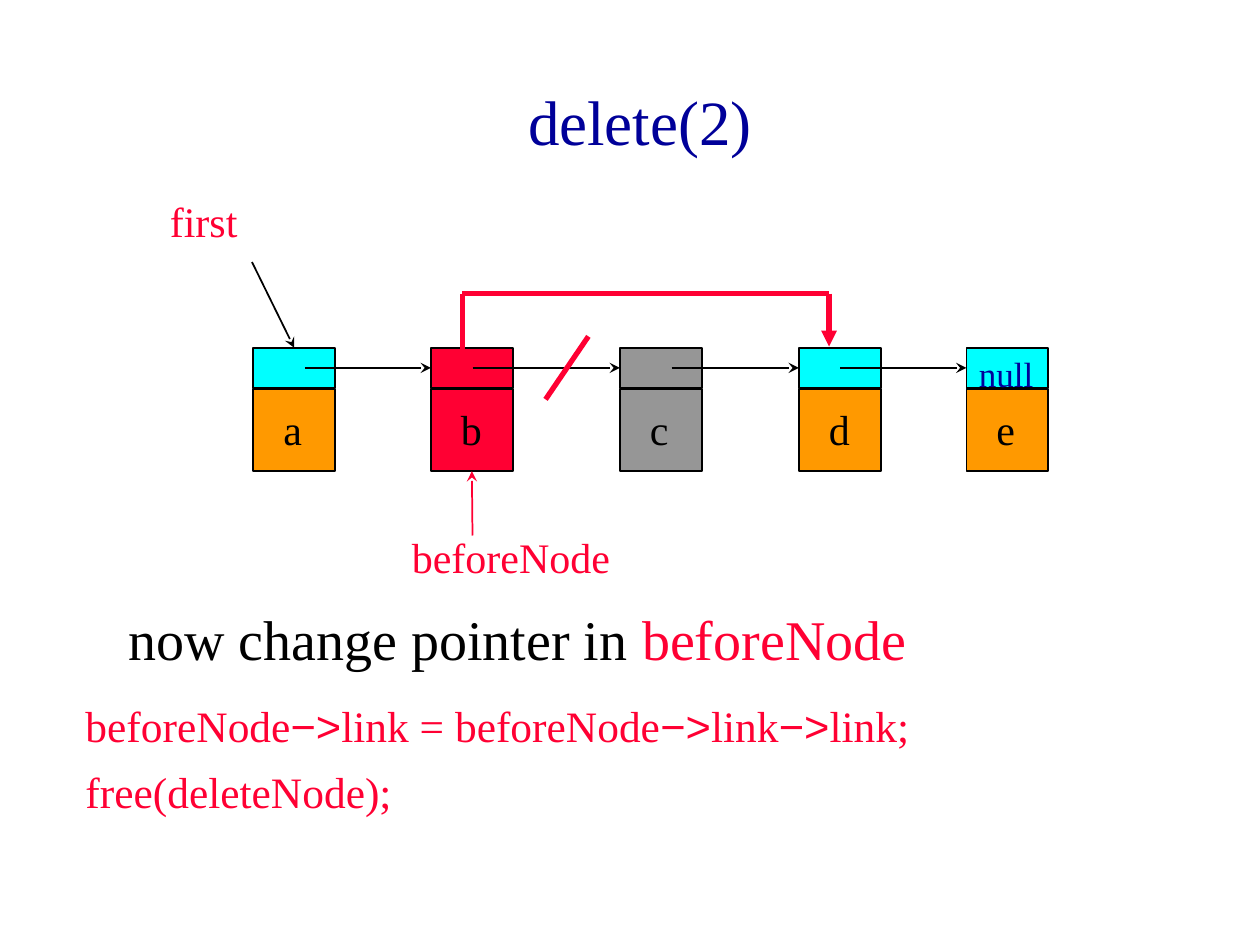
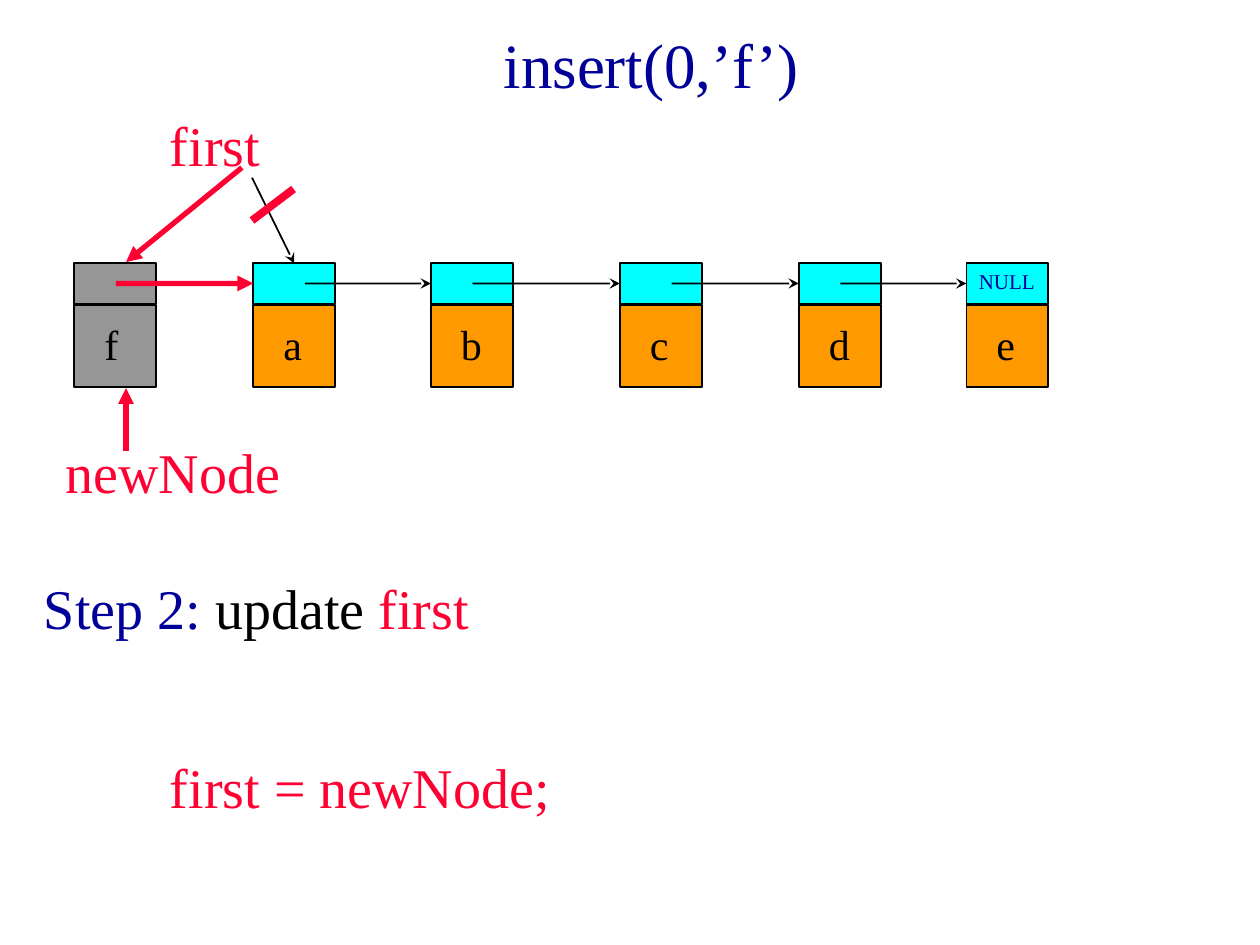
from pptx import Presentation, util as u
from pptx.dml.color import RGBColor
from pptx.enum import shapes, text
from pptx.oxml.ns import qn
from lxml import etree

BLACK, NAVY, RED = "000000", "000099", "FF0033"
CYAN, ORANGE, GRAY = "00FFFF", "FF9900", "969696"
SERIF, SANS = "Times New Roman", "Arial"
NODE_SIDE, LINK_HEIGHT, DATA_OFFSET = 0.65, 0.32, 0.33
LIST_LEFTS = {"a": 2.01, "b": 3.42, "c": 4.92, "d": 6.34, "e": 7.67}
POINTER_STARTS = {"a": 2.42, "b": 3.75, "c": 5.33, "d": 6.67}


def color(value):
    return RGBColor.from_string(value)


def add_text(page, place, *paragraphs, size=24, fill=BLACK, font=SERIF,
             align=text.PP_ALIGN.LEFT, anchor=text.MSO_ANCHOR.TOP, gap=0):
    box = page.shapes.add_textbox(*map(u.Inches, place))
    frame = box.text_frame
    frame.word_wrap = True
    frame.vertical_anchor = anchor
    for index, content in enumerate(paragraphs):
        para = frame.paragraphs[0] if index == 0 else frame.add_paragraph()
        para.alignment = align
        if index:
            para.space_before = u.Pt(gap)
        spans = [(content, {})] if isinstance(content, str) else content
        for words, changes in spans:
            span = para.add_run()
            span.text = words
            span.font.size = u.Pt(size)
            span.font.name = changes.get("font", font)
            span.font.color.rgb = color(changes.get("fill", fill))
    return box


def add_title(page, place, words):
    add_text(page, place, words, size=36, fill=NAVY,
             align=text.PP_ALIGN.CENTER, anchor=text.MSO_ANCHOR.MIDDLE)


def add_cell(page, left, top, height, fill):
    cell = page.shapes.add_shape(shapes.MSO_SHAPE.RECTANGLE, u.Inches(left),
                                 u.Inches(top), u.Inches(NODE_SIDE), u.Inches(height))
    cell.shadow.inherit = False
    cell.fill.solid()
    cell.fill.fore_color.rgb = color(fill)
    cell.line.color.rgb = color(BLACK)
    cell.line.width = u.Pt(1)
    return cell


def add_node(page, letter, left, top, link_fill=CYAN, data_fill=ORANGE):
    data = add_cell(page, left, top + DATA_OFFSET, NODE_SIDE, data_fill)
    link = add_cell(page, left, top, LINK_HEIGHT, link_fill)
    add_text(page, (left + 0.14, top + 0.39, 0.5, 0.5), letter)
    return link, data


def add_line(page, start, end, fill=BLACK, width=1, head=None, target=None, side=0):
    line = page.shapes.add_connector(shapes.MSO_CONNECTOR.STRAIGHT,
                                     *map(u.Inches, (*start, *end)))
    line.line.color.rgb = color(fill)
    line.line.width = u.Pt(width)
    if head:
        etree.SubElement(line.line._get_or_add_ln(), qn("a:tailEnd"), type=head)
    etree.SubElement(line._element.spPr, qn("a:effectLst"))
    if target is not None:
        line.end_connect(target, side)


def add_list(page, top, null_word, null_size, fills):
    nodes = {letter: add_node(page, letter, left, top, *fills.get(letter, ()))
             for letter, left in LIST_LEFTS.items()}
    middle = top + LINK_HEIGHT / 2
    letters = list(LIST_LEFTS)
    for source, target in zip(letters, letters[1:]):
        add_line(page, (POINTER_STARTS[source], middle), (LIST_LEFTS[target], middle),
                 head="stealth", target=nodes[target][0], side=1)
    add_text(page, (LIST_LEFTS["e"], top - 0.01, 0.67, 0.43), null_word,
             size=null_size, fill=NAVY)
    add_line(page, (2, top - 0.68), (2.33, top), head="stealth",
             target=nodes["a"][0], side=0)
    return nodes


def build_delete(page):
    add_title(page, (0.83, 0.33, 8.5, 1.25), "delete(2)")
    add_text(page, (0.92, 4.75, 8.5, 1.08),
             [("now change pointer in ", {}), ("beforeNode", {"fill": RED})], size=32)
    arrow = ("−>", {"font": SANS})
    add_text(page, (0.58, 5.5, 9.42, 1.08),
             [("beforeNode", {}), arrow, ("link = beforeNode", {}), arrow,
              ("link", {}), arrow, ("link;", {})],
             "free(deleteNode);", size=24.8, fill=RED, gap=8)
    add_text(page, (3.17, 4.17, 2, 0.5), "beforeNode", fill=RED)
    add_text(page, (1.25, 1.5, 1.83, 0.5), "first", fill=RED)
    nodes = add_list(page, 2.76, "null", 20, {"b": (RED, RED), "c": (GRAY, GRAY)})
    bypass = [(3.67, 2.92), (3.67, 2.33), (6.58, 2.33), (6.58, 2.75)]
    for start, end in zip(bypass, bypass[1:]):
        add_line(page, start, end, RED, 3, "triangle" if end == bypass[-1] else None)
    add_line(page, (4.67, 2.67), (4.33, 3.17), RED, 3)
    add_line(page, (3.75, 4.25), (3.75, 3.75), RED, head="stealth",
             target=nodes["b"][1], side=2)


def build_insert(page):
    top = 2.09
    add_title(page, (0.92, 0, 8.5, 1), "insert(0,’f’)")
    nodes = add_list(page, top, "NULL", 12, {})
    add_text(page, (1.25, 0.83, 2, 0.63), "first", size=32, fill=RED)
    add_node(page, "f", 0.59, top, GRAY, GRAY)
    add_line(page, (0.92, 2.25), (2, 2.25), RED, 3, "triangle", nodes["a"][0], 1)
    add_text(page, (0.42, 3.42, 2, 0.63), "newNode", size=32, fill=RED)
    add_line(page, (1, 3.58), (1, 3.08), RED, 3, "triangle")
    add_text(page, (0.25, 4.5, 9.42, 1.45),
             [("Step 2:", {"fill": NAVY}), (" update ", {}), ("first", {"fill": RED})],
             size=32)
    add_text(page, (1.25, 5.92, 8.75, 0.64), "first = newNode;", size=32, fill=RED)
    add_line(page, (2.33, 1.5), (2, 1.75), RED, 4.5)
    add_line(page, (1.92, 1.33), (1, 2.08), RED, 3, "triangle")


def main():
    deck = Presentation()
    deck.slide_width, deck.slide_height = u.Inches(10), u.Inches(7.5)
    for build in (build_delete, build_insert):
        build(deck.slides.add_slide(deck.slide_layouts[6]))
    deck.save("out.pptx")


if __name__ == "__main__":
    main()
